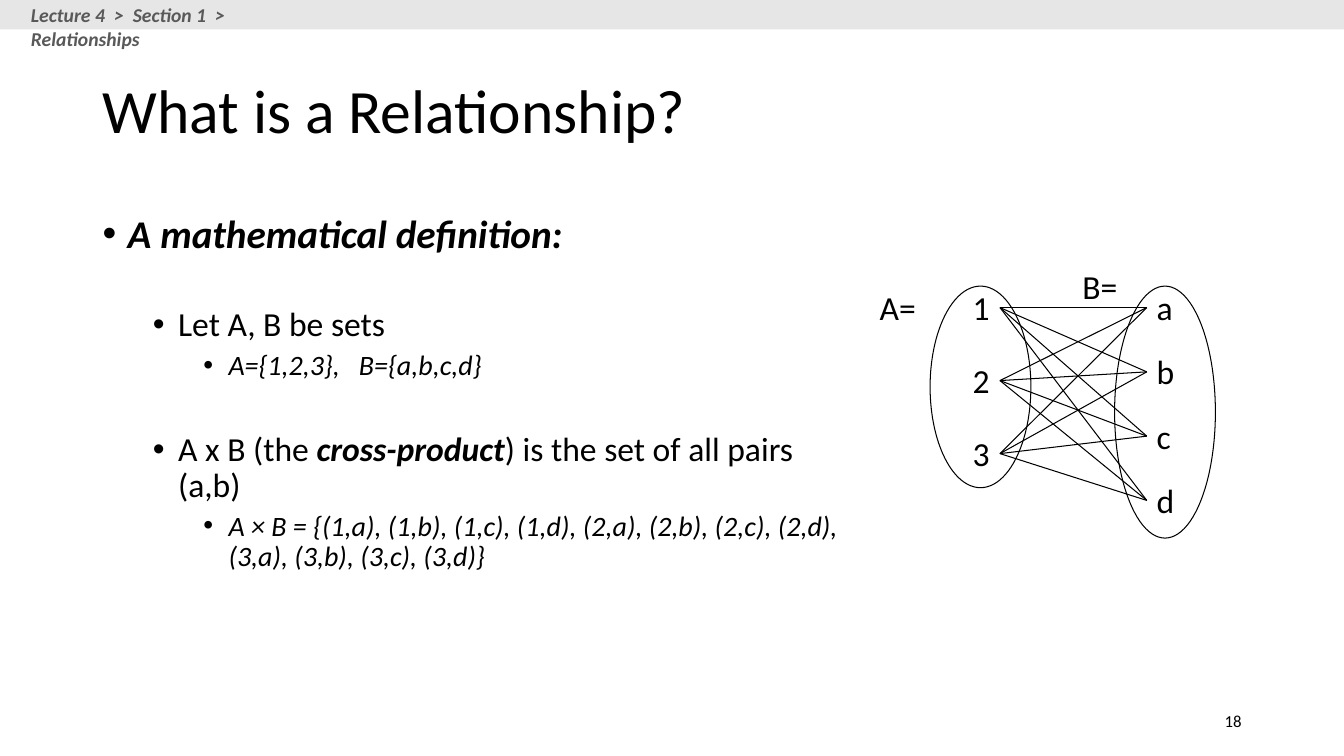
import pptx
import pptx.dml.color
import pptx.enum.shapes
import pptx.enum.text
import pptx.util
from lxml import etree
from pptx.util import Cm, Pt


class Theme:
    font = "Calibri"
    ink = pptx.dml.color.RGBColor(0x00, 0x00, 0x00)
    muted = pptx.dml.color.RGBColor(0x59, 0x59, 0x59)
    band = pptx.dml.color.RGBColor(0xE7, 0xE6, 0xE6)
    title, label, crumb, number = 44, 24, 14, 12
    levels = (28, 24, 20)
    line = Pt(0.75)


A = "{http://schemas.openxmlformats.org/drawingml/2006/main}"
ALIGN = pptx.enum.text.PP_ALIGN
ANCHOR = pptx.enum.text.MSO_ANCHOR
FIT = pptx.enum.text.MSO_AUTO_SIZE
SHAPE = pptx.enum.shapes.MSO_SHAPE


def add_run(p, text, size, bold=False, italic=False, color=Theme.ink, gap=0):
    """Add a run; gap is extra letter spacing in points."""
    r = p.add_run()
    r.text = text
    r.font.name, r.font.size = Theme.font, Pt(size)
    r.font.bold, r.font.italic = bold, italic
    r.font.color.rgb = color
    if gap:
        r._r.get_or_add_rPr().set("spc", str(round(gap * 100)))


def add_label(s, text, x, y, w):
    """Add a one-line diagram label, in centimetres."""
    sp = s.shapes.add_textbox(Cm(x), Cm(y), Cm(w), Cm(1.28))
    tf = sp.text_frame
    tf.word_wrap = False
    tf.auto_size = FIT.SHAPE_TO_FIT_TEXT
    add_run(tf.paragraphs[0], text, Theme.label)
    return sp


prs = pptx.Presentation()
prs.slide_width, prs.slide_height = Cm(33.87), Cm(19.05)
s = prs.slides.add_slide(prs.slide_layouts[1])

# Slide number
sp = s.shapes.add_textbox(Cm(23.92), Cm(17.66), Cm(7.62), Cm(1.01))
tf = sp.text_frame
tf.word_wrap = True
tf.vertical_anchor = ANCHOR.MIDDLE
p = tf.paragraphs[0]
p.alignment = ALIGN.RIGHT
add_run(p, "18", Theme.number)

# Title
sp = s.shapes.title
sp.left, sp.top, sp.width, sp.height = Cm(2.33), Cm(1.01), Cm(29.21), Cm(3.68)
tf = sp.text_frame
tf.auto_size = FIT.NONE
tf.vertical_anchor = ANCHOR.MIDDLE
p = tf.paragraphs[0]
p.alignment = ALIGN.LEFT
p.line_spacing = 0.9
add_run(p, "What is a Relationship?", Theme.title)

# Definition list: level, space before, runs of (text, bold, italic, gap)
items = [
    (0, 0, [("A mathematical definition:", True, True, 0)]),
    (1, 36.4, [("Let A, B be sets", False, False, 0)]),
    (2, 5, [("A={1,2,3},", False, True, 0), (" ", False, True, 9),
            ("B={a,b,c,d}", False, True, 0)]),
    (1, 36.4, [("A x B (the ", False, False, 0), ("cross-product", True, True, 0),
               (") is the set of all pairs (a,b)", False, False, 0)]),
    (2, 5, [("A × B = {(1,a), (1,b), (1,c), (1,d), (2,a), (2,b), (2,c), (2,d), "
             "(3,a), (3,b), (3,c), (3,d)}", False, True, 0)]),
]
sp = s.placeholders[1]
sp.left, sp.top, sp.width, sp.height = Cm(2.33), Cm(5.28), Cm(19.3), Cm(11.43)
tf = sp.text_frame
tf.auto_size = FIT.NONE
for i, (level, before, runs) in enumerate(items):
    p = tf.add_paragraph() if i else tf.paragraphs[0]
    p.level = level
    p.line_spacing = 0.9
    p.space_before = Pt(before)
    pPr = p._p.get_or_add_pPr()
    pPr.set("marL", str(Pt(18 + 36 * level)))
    pPr.set("indent", str(-Pt(18)))
    etree.SubElement(pPr, A + "buFont").set("typeface", "Arial")
    etree.SubElement(pPr, A + "buChar").set("char", "•")
    for text, bold, italic, gap in runs:
        add_run(p, text, Theme.levels[level], bold, italic, gap=gap)

# Set members
numbers = [add_label(s, t, 24.26, 7.11 + 1.84 * i, 0.94) for i, t in enumerate("123")]
letters = [add_label(s, t, 28.9, 7.11 + 1.62 * i, 0.94) for i, t in enumerate("abcd")]

# Set outlines and names
for x, h in ((23.44, 5.08), (28.09, 6.35)):
    sp = s.shapes.add_shape(SHAPE.OVAL, Cm(x), Cm(7.21), Cm(2.54), Cm(h))
    sp.shadow.inherit = False
    sp.fill.background()
    sp.line.color.rgb = Theme.ink
    sp.line.width = Theme.line
add_label(s, "A=", 21.92, 7.11, 1.6)
add_label(s, "B=", 27.03, 6.58, 1.55)

# Every pair of the cross-product
for number in numbers:
    for letter in letters:
        c = s.shapes.add_connector(pptx.enum.shapes.MSO_CONNECTOR.STRAIGHT, 0, 0, 0, 0)
        c.begin_connect(number, 3)
        c.end_connect(letter, 1)
        c.line.color.rgb = Theme.ink
        c.line.width = Theme.line
        etree.SubElement(c._element.spPr, A + "effectLst")

# Header band and breadcrumb
sp = s.shapes.add_shape(SHAPE.RECTANGLE, 0, 0, prs.slide_width, Cm(0.74))
sp.shadow.inherit = False
sp.fill.solid()
sp.fill.fore_color.rgb = Theme.band
sp.line.fill.background()

sp = s.shapes.add_textbox(Cm(0.53), Cm(-0.05), Cm(7.9), Cm(0.86))
tf = sp.text_frame
tf.word_wrap = True
p = tf.paragraphs[0]
for i, text in enumerate(("Lecture 4", ">", "Section 1", ">", "Relationships")):
    if i:
        add_run(p, " ", Theme.crumb, True, True, Theme.muted, gap=3.2)
    add_run(p, text, Theme.crumb, True, True, Theme.muted)

prs.save("out.pptx")
